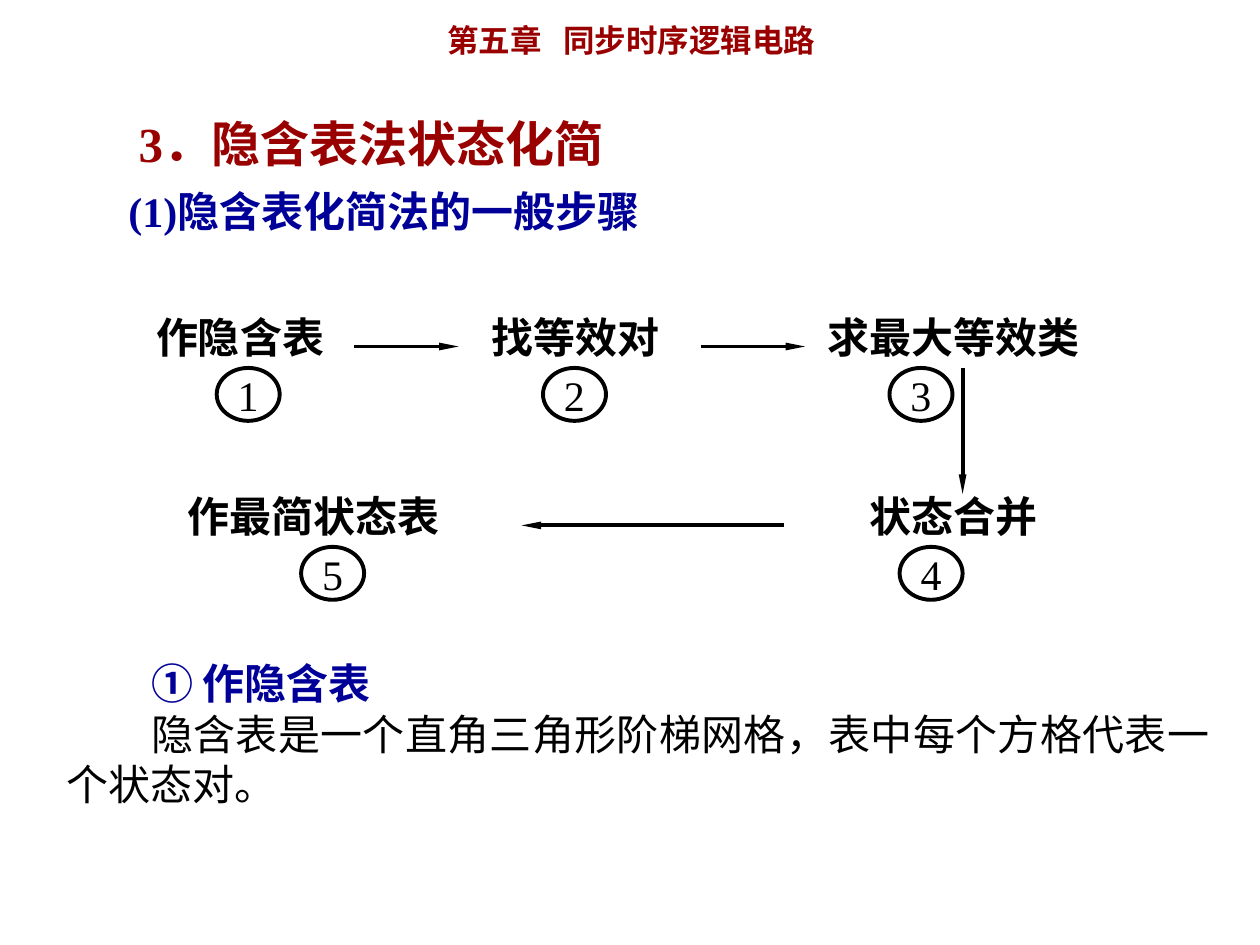
import pptx
import pptx.dml.color
import pptx.enum.shapes
import pptx.enum.text
import pptx.oxml
import pptx.oxml.ns
import pptx.util

Inches = pptx.util.Inches
ALIGN = pptx.enum.text.PP_ALIGN
ANCHOR = pptx.enum.text.MSO_ANCHOR
SERIF, SANS = "Times New Roman", "Noto Sans CJK JP"
BLACK, RED, BLUE = "000000", "990000", "000099"


def color(value):
    return pptx.dml.color.RGBColor.from_string(value)


def add_xml(parent, tag, **attributes):
    element = pptx.oxml.parse_xml(f"<{tag} {pptx.oxml.ns.nsdecls('a')}/>")
    for name, value in attributes.items():
        element.set(name, str(value))
    parent.append(element)
    return element


def write(para, text, font=SERIF, size=24, fill=BLACK, bold=True,
          align=ALIGN.LEFT, indent=None, tab=None):
    """Format a paragraph and add one span of text to it."""
    para.alignment = align
    para.space_before = pptx.util.Pt(0)
    properties = para._p.get_or_add_pPr()
    if indent is not None:
        properties.set("marL", "0")
        properties.set("indent", str(Inches(indent)))
        add_xml(properties, "a:buNone")
    if tab is not None:
        stops = add_xml(properties, "a:tabLst")
        add_xml(stops, "a:tab", pos=Inches(tab), algn="l")
    span = para.add_run()
    span.text = text
    span.font.name = font
    span.font.size = pptx.util.Pt(size)
    span.font.bold = bold
    span.font.color.rgb = color(fill)
    add_xml(span._r.get_or_add_rPr(), "a:ea", typeface=SANS)


def place(shape, left, top, width, height):
    shape.left, shape.top = Inches(left), Inches(top)
    shape.width, shape.height = Inches(width), Inches(height)
    frame = shape.text_frame
    frame.word_wrap = True
    frame.auto_size = pptx.enum.text.MSO_AUTO_SIZE.NONE
    frame.vertical_anchor = ANCHOR.TOP
    return frame.paragraphs[0]


def add_label(page, text, left, top, width, height=0.5, **style):
    box = page.shapes.add_textbox(0, 0, 0, 0)
    write(place(box, left, top, width, height), text, **style)


def add_number(page, number, left, top):
    circle = page.shapes.add_shape(
        pptx.enum.shapes.MSO_SHAPE.OVAL, 0, 0, 0, 0)
    para = place(circle, left, top, 0.5, 0.42)
    circle.shadow.inherit = False
    circle.fill.background()
    circle.line.color.rgb = color(BLACK)
    circle.line.width = pptx.util.Pt(2.25)
    circle.text_frame.word_wrap = False
    circle.text_frame.vertical_anchor = ANCHOR.MIDDLE
    write(para, str(number), bold=False, align=ALIGN.CENTER)


def add_arrow(page, *ends):
    arrow = page.shapes.add_connector(
        pptx.enum.shapes.MSO_CONNECTOR.STRAIGHT, *map(Inches, ends))
    arrow.line.color.rgb = color(BLACK)
    arrow.line.width = pptx.util.Pt(2.25)
    add_xml(arrow.line._get_or_add_ln(), "a:tailEnd",
            type="triangle", w="sm", len="lg")
    add_xml(arrow._element.spPr, "a:effectLst")


def add_headings(page, left, top):
    add_label(page, "第五章\t同步时序逻辑电路", 3.45, 0.12, 3.68, 0.4,
              font=SANS, size=18, fill=RED, tab=0.92)
    title = place(page.shapes.title, left + 0.08, top, 5.02, 0.57)
    write(title, "3．隐含表法状态化简", size=28, fill=RED)
    add_label(page, "(1)隐含表化简法的一般步骤", left, top + 0.57, 4.58, fill=BLUE)


def add_flow(page, left, top):
    """Draw the five numbered steps and the arrows that join them."""
    lower = 1.42
    steps = [  # text, label x, label width, circle x, row y
        ("作隐含表", 0, 1.67, 0.58, 0),
        ("找等效对", 2.66, 1.67, 3.17, 0),
        ("求最大等效类", 5.33, 2.34, 5.92, 0),
        ("状态合并", 5.66, 1.83, 6, lower),
        ("作最简状态表", 0.25, 2.5, 1.25, lower),
    ]
    for number, (text, x, width, circle_x, y) in enumerate(steps, 1):
        add_label(page, text, left + x, top + y, width)
        add_number(page, number, left + circle_x, top + y + 0.5)
    arrows = [
        (1.67, 0.33, 2.5, 0.33),
        (4.42, 0.33, 5.25, 0.33),
        (6.5, 0.5, 6.5, 1.5),
        (5.08, 1.75, 3, 1.75),
    ]
    for x1, y1, x2, y2 in arrows:
        add_arrow(page, left + x1, top + y1, left + x2, top + y2)


def add_explanation(page, left, top, width, height):
    para = place(page.placeholders[1], left, top, width, height)
    write(para, "① 作隐含表", fill=BLUE, align=ALIGN.JUSTIFY, indent=0.67)
    write(page.placeholders[1].text_frame.add_paragraph(),
          "隐含表是一个直角三角形阶梯网格，表中每个方格代表一个状态对。",
          bold=False, align=ALIGN.JUSTIFY, indent=0.67)


def main():
    deck = pptx.Presentation()
    deck.slide_width, deck.slide_height = Inches(10), Inches(7.5)
    page = deck.slides.add_slide(deck.slide_layouts[1])
    add_headings(page, 0.92, 0.85)
    add_flow(page, 1.14, 2.42)
    add_explanation(page, 0.43, 5.17, 9.27, 1.3)
    deck.save("out.pptx")


if __name__ == "__main__":
    main()
